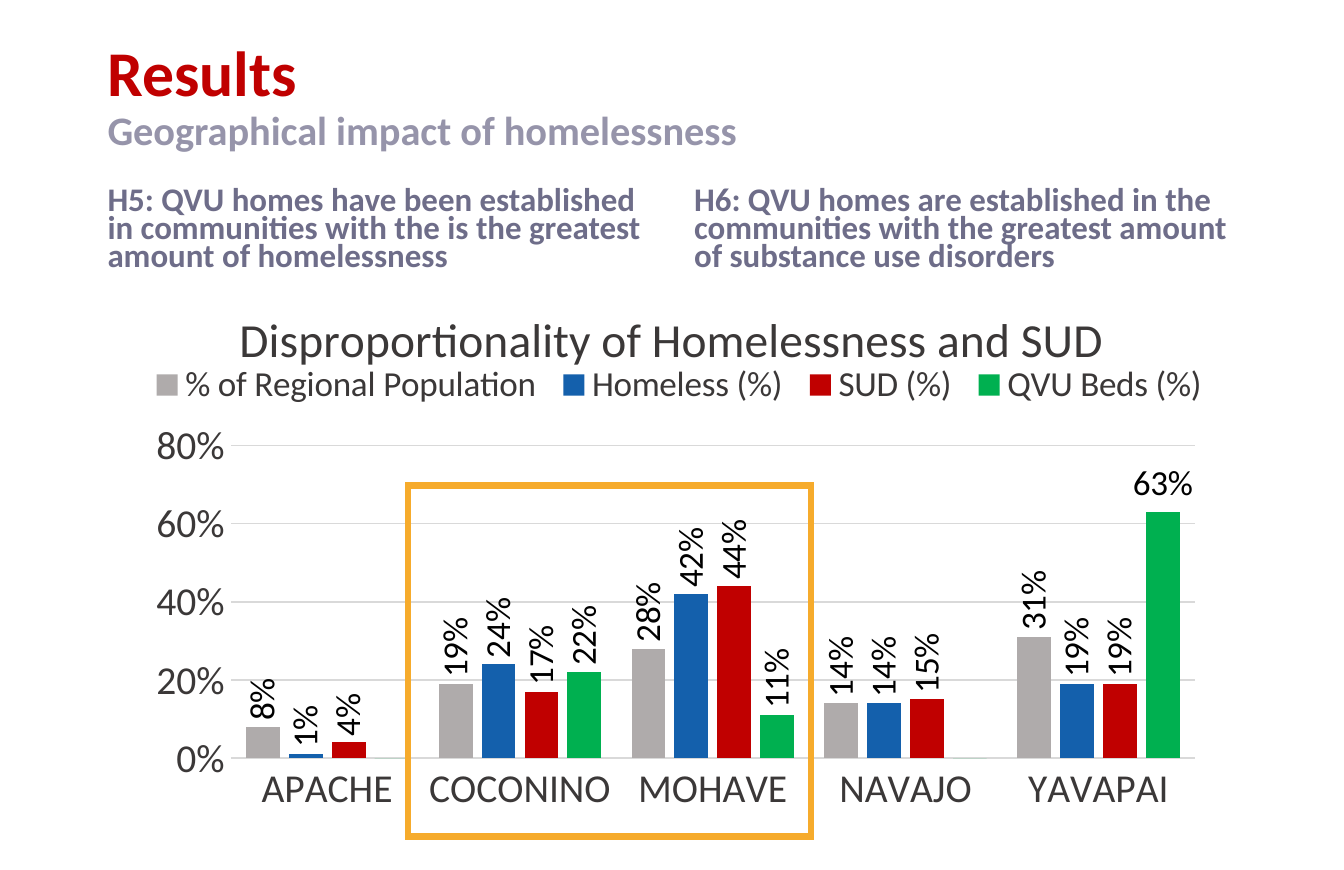
from lxml import etree
from pptx import Presentation
from pptx import util as u
from pptx.chart.data import CategoryChartData
from pptx.dml.color import RGBColor
from pptx.enum import chart as ch, shapes, text
from pptx.oxml import parse_xml
from pptx.oxml.ns import nsdecls, qn

THEME = {
    "font": "Calibri",
    "red": "C00000", "muted": "9694AA", "slate": "6E6D89", "ink": "3B3838",
    "black": "000000", "grid": "D9D9D9", "frame": "F6AB2C",
    "population": "AFABAB", "homeless": "1460AC", "beds": "00B050",
    "title": 29, "subtitle": 18.4, "body": 15,
    "chart_title": 21.6, "axis": 18, "label": 16,
}

HEADING = [("Results", "title", "red"),
           ("Geographical impact of homelessness", "subtitle", "muted")]
HYPOTHESES = [
    "H5: QVU homes have been established in communities with the is the greatest amount of homelessness",
    "H6: QVU homes are established in the communities with the greatest amount of substance use disorders",
]
CHART_TITLE = "Disproportionality of Homelessness and SUD"
COUNTIES = ["APACHE", "COCONINO", "MOHAVE", "NAVAJO", "YAVAPAI"]
SERIES = [
    ("% of Regional Population", "population", [0.08, 0.19, 0.28, 0.14, 0.31]),
    ("Homeless (%)", "homeless", [0.01, 0.24, 0.42, 0.14, 0.19]),
    ("SUD (%)", "red", [0.04, 0.17, 0.44, 0.15, 0.19]),
    ("QVU Beds (%)", "beds", [0, 0.22, 0.11, 0, 0.63]),
]

HEADING_BOX = (0.59, 0.29, 7.33, 0.66)
HYPOTHESIS_BOX = (0.59, 1.15, 3.6, 0.66)
HYPOTHESIS_STEP = 3.71
CHART_BOX = (0.68, 1.81, 7.09, 3.47)
FRAME_BOX = (2.58, 3.07, 2.55, 2.22)
TITLE_AT = {"x": 0.11, "y": 0.02}
LEGEND_AT = {"x": 0.03, "y": 0.14, "w": 0.96, "h": 0.08}
PLOT_AT = {"x": 0.11, "y": 0.29, "w": 0.86, "h": 0.57}


def rgb(name):
    return RGBColor.from_string(THEME[name])


def inches(box):
    return [u.Inches(v) for v in box]


def apply(obj, values):
    for name, value in values.items():
        setattr(obj, name, value)


def style(font, size, color, bold=False):
    apply(font, {"name": THEME["font"], "size": u.Pt(THEME[size]), "bold": bold})
    font.color.rgb = rgb(color)


def add_text(s, box, parts, spacing, anchor):
    tf = s.shapes.add_textbox(*inches(box)).text_frame
    apply(tf, {"word_wrap": True, "vertical_anchor": anchor,
               "margin_left": u.Inches(0.09), "margin_right": u.Inches(0.09),
               "margin_top": u.Inches(0.05), "margin_bottom": u.Inches(0.05)})
    p = tf.paragraphs[0]
    p.line_spacing = spacing
    for i, (words, size, color) in enumerate(parts):
        if i:
            p.add_line_break()
        r = p.add_run()
        r.text = words
        style(r.font, size, color, True)


def place(element, at, before, inner=False):
    for old in element.findall(qn("c:layout")):
        element.remove(old)
    layout = parse_xml(f"<c:layout {nsdecls('c')}><c:manualLayout/></c:layout>")
    manual = layout[0]
    fields = [("layoutTarget", "inner")] if inner else []
    fields += [(k + "Mode", "edge") for k in ("x", "y")] + list(at.items())
    for tag, value in fields:
        etree.SubElement(manual, qn("c:" + tag)).set("val", str(value))
    element.find(qn("c:" + before)).addprevious(layout)


def style_axis(axis):
    apply(axis, {"major_tick_mark": ch.XL_TICK_MARK.NONE,
                 "minor_tick_mark": ch.XL_TICK_MARK.NONE})
    style(axis.tick_labels.font, "axis", "ink")


def style_line(line, color, width):
    line.color.rgb = rgb(color)
    line.width = u.Pt(width)


def style_series(series, color):
    series.format.fill.solid()
    series.format.fill.fore_color.rgb = rgb(color)
    series.invert_if_negative = False
    labels = series.data_labels
    apply(labels, {"show_value": True, "number_format": "0%",
                   "number_format_is_linked": False,
                   "position": ch.XL_LABEL_POSITION.OUTSIDE_END})
    style(labels.font, "label", "black")
    body = labels._element.find(qn("c:txPr")).find(qn("a:bodyPr"))
    body.set("rot", "-5400000")
    body.set("vert", "horz")
    return labels


def add_county_chart(s):
    data = CategoryChartData(number_format="0%")
    data.categories = COUNTIES
    for name, _, values in SERIES:
        data.add_series(name, values)
    chart = s.shapes.add_chart(ch.XL_CHART_TYPE.COLUMN_CLUSTERED,
                               *inches(CHART_BOX), data).chart
    style(chart.font, "axis", "ink")

    chart.has_title = True
    tf = chart.chart_title.text_frame
    tf.text = CHART_TITLE
    style(tf.paragraphs[0].runs[0].font, "chart_title", "ink")
    place(chart.chart_title._element, TITLE_AT, "overlay")

    chart.has_legend = True
    apply(chart.legend, {"position": ch.XL_LEGEND_POSITION.TOP,
                         "include_in_layout": False})
    style(chart.legend.font, "label", "ink")
    place(chart.legend._element, LEGEND_AT, "overlay")

    style_axis(chart.category_axis)
    style_line(chart.category_axis.format.line, "grid", 0.75)
    values = chart.value_axis
    style_axis(values)
    apply(values, {"minimum_scale": 0, "maximum_scale": 0.8, "major_unit": 0.2})
    apply(values.tick_labels, {"number_format": "0%", "number_format_is_linked": False})
    values.format.line.fill.background()
    style_line(values.major_gridlines.format.line, "grid", 0.75)

    plot = chart.plots[0]
    apply(plot, {"gap_width": 90, "overlap": -27, "vary_by_categories": False})
    place(plot._element.getparent(), PLOT_AT, "barChart", True)
    for series, (_, color, _) in zip(plot.series, SERIES):
        labels = style_series(series, color)

    beds = SERIES[-1][2]
    empty = [i for i, v in enumerate(beds) if v == 0]
    for position, i in enumerate(empty):
        labels._element.insert(position, parse_xml(
            f'<c:dLbl {nsdecls("c")}><c:idx val="{i}"/><c:delete val="1"/></c:dLbl>'))
    peak = series.points[beds.index(max(beds))].data_label
    style(peak.font, "label", "black")
    peak.position = ch.XL_LABEL_POSITION.OUTSIDE_END


def add_frame(s):
    sp = s.shapes.add_shape(shapes.MSO_SHAPE.RECTANGLE, *inches(FRAME_BOX))
    sp.shadow.inherit = False
    sp.fill.background()
    style_line(sp.line, "frame", 3)
    ln = sp._element.spPr.find(qn("a:ln"))
    etree.SubElement(ln, qn("a:miter")).set("lim", "800000")


def main():
    prs = Presentation()
    apply(prs, {"slide_width": u.Inches(8.5), "slide_height": u.Inches(5.5)})
    s = prs.slides.add_slide(prs.slide_layouts[6])

    left, top, width, height = HYPOTHESIS_BOX
    for i, words in enumerate(HYPOTHESES):
        add_text(s, (left + i * HYPOTHESIS_STEP, top, width, height),
                 [(words, "body", "slate")], 0.7, text.MSO_ANCHOR.TOP)
    add_text(s, HEADING_BOX, HEADING, 0.9, text.MSO_ANCHOR.MIDDLE)
    add_county_chart(s)
    add_frame(s)

    prs.save("out.pptx")


if __name__ == "__main__":
    main()
